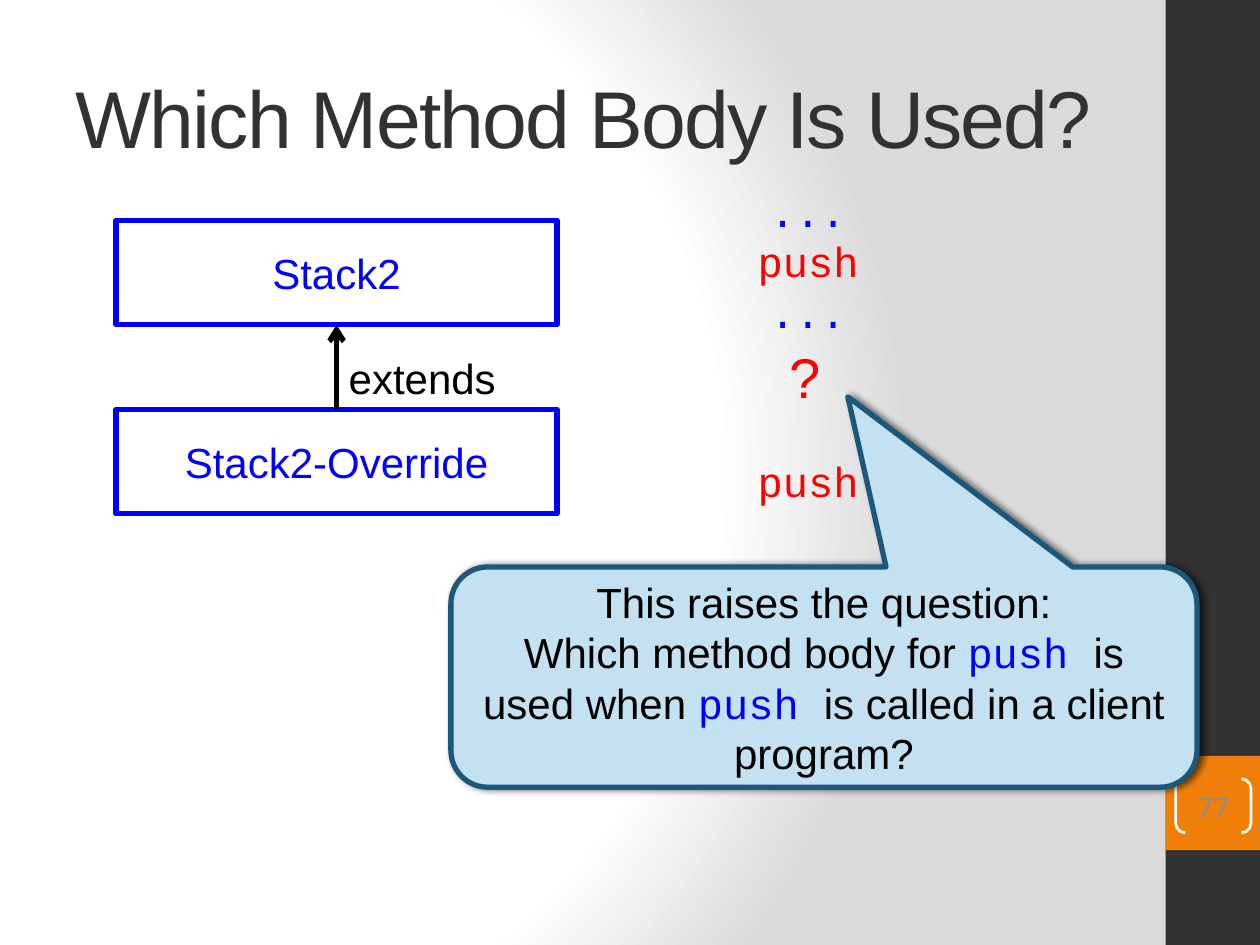
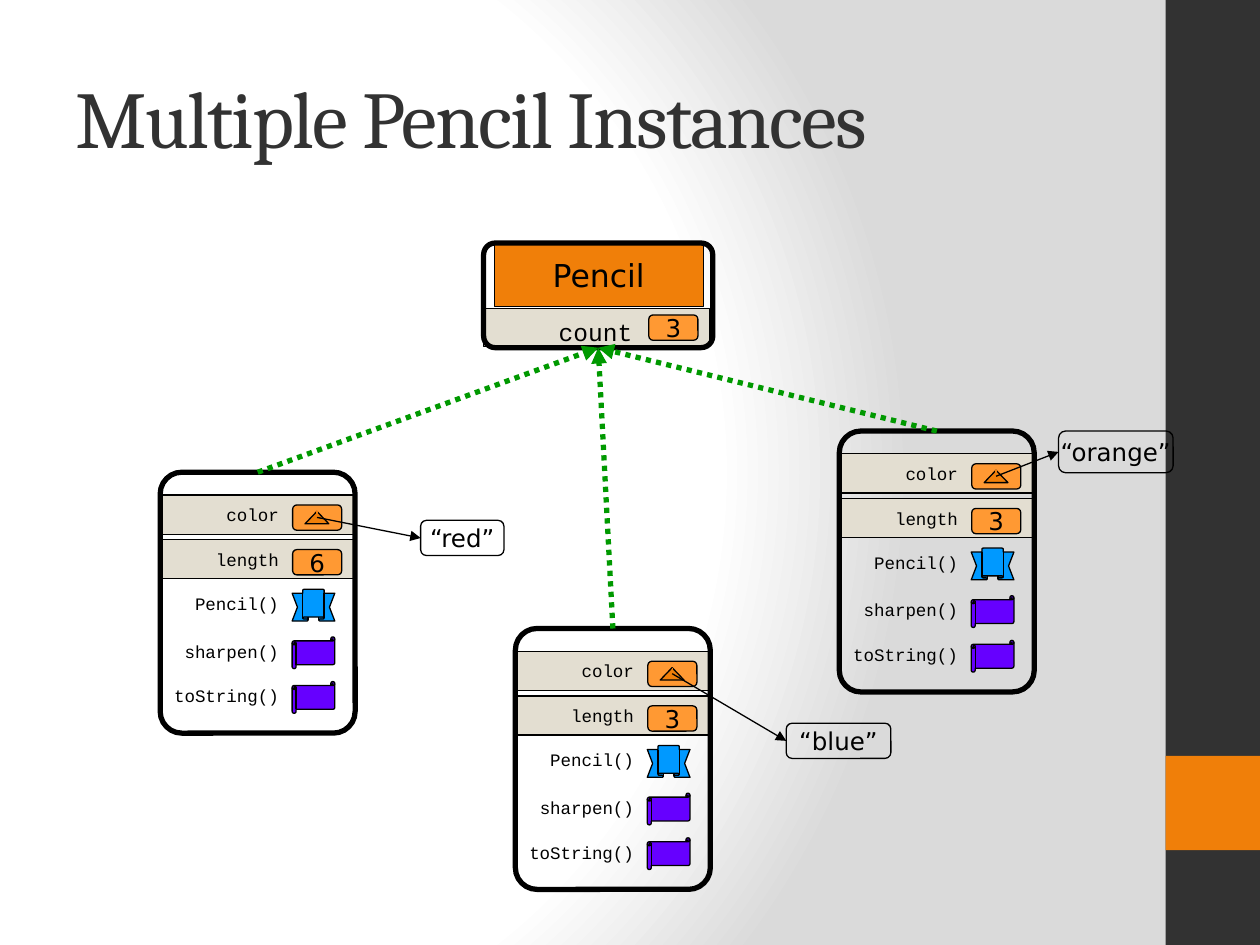
"""Builds two slides on method overriding and pencil objects."""
import dataclasses

import pptx
import pptx.dml.color
import pptx.enum.dml
import pptx.enum.shapes
import pptx.enum.text
import pptx.oxml
import pptx.oxml.ns
import pptx.util

Cm = pptx.util.Cm
Pt = pptx.util.Pt
Form = pptx.enum.shapes.MSO_SHAPE
Align = pptx.enum.text.PP_ALIGN
Anchor = pptx.enum.text.MSO_ANCHOR
Fit = pptx.enum.text.MSO_AUTO_SIZE
qn = pptx.oxml.ns.qn
NS = pptx.oxml.ns.nsdecls("a")


@dataclasses.dataclass(frozen=True)
class Theme:
    dark: str = "323232"
    orange: str = "F07F09"
    white: str = "FFFFFF"
    shade: str = "DADADA"
    black: str = "000000"
    grey: str = "8C8C8C"
    blue: str = "0000FF"
    red: str = "FF0000"
    pale: str = "C4E1F2"
    navy: str = "1B587C"
    green: str = "009900"
    sand: str = "E3DED1"
    cell: str = "FF9933"
    sky: str = "0099FF"
    violet: str = "6600FF"
    sans: str = "Arial"
    serif: str = "Cambria"
    code: str = "Courier New"
    label: str = "DejaVu Sans"
    digit: str = "Calibri"
    head: int = 46
    ask: int = 32
    main: int = 24
    name: int = 18
    note: int = 14
    small: int = 10
    thin: float = 0.75
    thick: float = 3


def rgb(code):
    return pptx.dml.color.RGBColor.from_string(code)


def style(font, face, size, color):
    font.name, font.size = face, Pt(size)
    font.color.rgb = rgb(color)


class Deck:
    def __init__(self, theme):
        self.theme = theme
        self.show = pptx.Presentation()
        self.show.slide_width, self.show.slide_height = Cm(25.4), Cm(19.05)
        self.slide = None
        self.paint()

    def paint(self):
        t = self.theme
        master = self.show.slide_master
        master.background.fill.gradient()
        old = master.element.find(".//" + qn("a:gradFill"))
        stops = "".join(
            f'<a:gs pos="{pos}"><a:srgbClr val="{color}"/></a:gs>'
            for pos, color in ((0, t.white), (75000, t.white), (100000, t.shade)))
        old.getparent().replace(old, pptx.oxml.parse_xml(
            f'<a:gradFill {NS} rotWithShape="1"><a:gsLst>{stops}</a:gsLst>'
            '<a:path path="circle"><a:fillToRect l="20000" t="50000" '
            'r="100000" b="50000"/></a:path></a:gradFill>'))

    def start(self, text, face):
        t = self.theme
        self.slide = self.show.slides.add_slide(self.show.slide_layouts[5])
        self.shape(Form.RECTANGLE, (23.5, 0, 1.9, 19.05), t.dark)
        self.shape(Form.RECTANGLE, (23.5, 15.24, 1.9, 1.9), t.orange)
        title = self.slide.shapes.title
        title.left, title.top, title.width, title.height = map(
            Cm, (1.27, 0.76, 21.16, 3.18))
        frame = title.text_frame
        frame.text = text
        frame.auto_size, frame.vertical_anchor = Fit.NONE, Anchor.MIDDLE
        para = frame.paragraphs[0]
        para.alignment = Align.LEFT
        style(para.font, face, t.head, t.dark)
        para._p.find(".//" + qn("a:defRPr")).set("spc", "-100")

    def shape(self, form, at, fill=None, line=None, width=Theme.thin, adjust=()):
        item = self.slide.shapes.add_shape(form, *map(Cm, at))
        item.shadow.inherit = False
        for i, value in enumerate(adjust):
            item.adjustments[i] = value
        if fill:
            item.fill.solid()
            item.fill.fore_color.rgb = rgb(fill)
        else:
            item.fill.background()
        if line:
            item.line.color.rgb = rgb(line)
            item.line.width = Pt(width)
        else:
            item.line.fill.background()
        return item

    def label(self, item, text, face, size, color=Theme.black, wrap=False):
        frame = item.text_frame
        frame.text = text
        frame.word_wrap, frame.vertical_anchor = wrap, Anchor.MIDDLE
        para = frame.paragraphs[0]
        para.alignment = Align.CENTER
        style(para.font, face, size, color)
        return item

    def text(self, at, lines, face, size, align=Align.LEFT, wrap=False):
        frame = self.slide.shapes.add_textbox(*map(Cm, at)).text_frame
        frame.word_wrap, frame.auto_size = wrap, Fit.SHAPE_TO_FIT_TEXT
        frame.text = "\n".join(line for line, color in lines)
        for para, (line, color) in zip(frame.paragraphs, lines):
            para.alignment = align
            style(para.font, face, size, color)

    def link(self, begin, end, color, width=Theme.thin, head=None, dash=None):
        line = self.slide.shapes.add_connector(
            pptx.enum.shapes.MSO_CONNECTOR.STRAIGHT, 0, 0, 0, 0)
        if isinstance(begin[0], (int, float)):
            line.begin_x, line.begin_y = map(Cm, begin)
        else:
            line.begin_connect(*begin)
        if isinstance(end[0], (int, float)):
            line.end_x, line.end_y = map(Cm, end)
        else:
            line.end_connect(*end)
        line.line.color.rgb = rgb(color)
        line.line.width = Pt(width)
        if dash:
            line.line.dash_style = dash
        props = line._element.spPr
        if head:
            props.find(qn("a:ln")).append(
                pptx.oxml.parse_xml(f'<a:tailEnd {NS} type="{head}"/>'))
        props.append(pptx.oxml.parse_xml(f"<a:effectLst {NS}/>"))

    def cell(self, x, y, value=None):
        t = self.theme
        item = self.shape(Form.ROUNDED_RECTANGLE, (x, y, 0.99, 0.51), t.cell, t.black)
        if value:
            self.label(item, value, t.label, t.note)

    def member(self, right, y, name):
        t = self.theme
        wide = 0.51 + 0.21 * len(name)
        self.text((right - wide, y, wide, 0.69), [(name, t.black)],
                  t.code, t.small, Align.RIGHT)

    def pencil(self, x, y, length, color, spot):
        t = self.theme
        tag = self.shape(Form.ROUNDED_RECTANGLE, spot, line=t.black)
        self.label(tag, color, t.label, t.note)
        for i, (name, value) in enumerate((("color", None), ("length", length))):
            top = y + 0.46 + 0.9 * i
            self.shape(Form.RECTANGLE, (x, top, 3.93, 0.79), t.sand, t.black)
            self.member(x + 2.64, top + 0.06, name)
            self.cell(x + 2.67, top + 0.2, value)
        ribbon = (Form.UP_RIBBON, t.sky, (0.125, 0.5))
        scroll = (Form.HORIZONTAL_SCROLL, t.violet, (0.125,))
        for name, drop, (form, fill, adjust) in (
                ("Pencil()", 2.31, ribbon),
                ("sharpen()", 3.27, scroll),
                ("toString()", 4.17, scroll)):
            self.member(x + 2.64, y + drop, name)
            self.shape(form, (x + 2.66, y + drop + 0.05, 0.86, 0.64),
                       fill, t.black, adjust=adjust)
        self.shape(Form.ISOSCELES_TRIANGLE, (x + 2.92, y + 0.79, 0.48, 0.25),
                   t.orange, t.black)
        mid = (x + 3.16, y + 0.91)
        self.link((x + 3.16, y + 0.79), mid, t.orange)
        self.link(mid, (tag, 1), t.black, head="triangle")
        return self.shape(Form.ROUNDED_RECTANGLE, (x, y, 3.93, 5.26),
                          line=t.black, width=t.thick, adjust=(0.111,))


def method(deck):
    t = deck.theme
    deck.start("Which Method Body Is Used?", t.sans)
    page = deck.shape(Form.DOUBLE_BRACKET, (23.7, 15.7, 1.52, 1.09),
                      line=t.white, width=1.5, adjust=(0.179,))
    deck.label(page, "77", t.digit, t.name, t.grey)
    frame = page.text_frame
    frame.margin_left = frame.margin_right = frame.margin_top = frame.margin_bottom = 0
    base, child = [
        deck.label(deck.shape(Form.RECTANGLE, (2.34, top, 8.89, 2.11),
                              t.white, t.blue, t.thick),
                   name, t.sans, t.main, t.blue)
        for name, top in (("Stack2", 4.44), ("Stack2-Override", 8.25))]
    deck.link((child, 0), (base, 2), t.black, t.thick, "arrow")
    deck.text((6.78, 6.98, 3.51, 1.27), [("extends", t.black)], t.sans, t.main)
    push, dots = ("push", t.red), ("...", t.blue)
    for top, tall, lines in ((9.05, 1.27, [push]), (3.61, 3.33, [dots, push, dots])):
        deck.text((12.06, top, 8.46, tall), lines, t.code, t.main, Align.CENTER, True)
    query(deck)
    deck.text((15.67, 6.78, 1.17, 1.63), [("?", t.red)], t.sans, t.ask)


def query(deck):
    t = deck.theme
    item = deck.shape(Form.ROUNDED_RECTANGULAR_CALLOUT, (9.09, 11.43, 15.04, 4.44),
                      t.pale, t.navy, t.thick, (0.032, -1.273, 0.167))
    item._element.spPr.find(qn("a:effectLst")).append(pptx.oxml.parse_xml(
        f'<a:outerShdw {NS} blurRad="50800" dist="25400" dir="0" rotWithShape="0">'
        f'<a:srgbClr val="{t.black}"><a:alpha val="60000"/></a:srgbClr></a:outerShdw>'))
    deck.label(item, "This raises the question:", t.sans, t.main, wrap=True)
    para = item.text_frame.add_paragraph()
    para.alignment = Align.CENTER
    plain, code = (t.sans, t.main, t.black), (t.code, t.main, t.blue)
    for words, look in (("Which method body for ", plain), ("push ", code),
                        ("is used when ", plain), ("push ", code),
                        ("is called in a client program?", plain)):
        run = para.add_run()
        run.text = words
        style(run.font, *look)


def pencils(deck):
    t = deck.theme
    deck.start("Multiple Pencil Instances", t.serif)
    items = [deck.pencil(*data) for data in (
        (3.23, 9.52, "6", "“red”", (8.48, 10.49, 1.68, 0.71)),
        (10.39, 12.67, "3", "“blue”", (15.85, 14.58, 2.11, 0.71)),
        (16.92, 8.69, "3", "“orange”", (21.34, 8.69, 2.31, 0.84)))]
    deck.shape(Form.RECTANGLE, (9.75, 6.22, 4.55, 0.76), t.sand, t.black)
    deck.text((11, 6.27, 2, 0.86), [("count", t.black)], t.code, t.note, Align.RIGHT)
    deck.cell(13.08, 6.35, "3")
    head = deck.shape(Form.RECTANGLE, (9.96, 4.9, 4.22, 1.27), t.orange, t.black, 0.5)
    deck.label(head, "Pencil", t.label, t.name)
    kind = deck.shape(Form.ROUNDED_RECTANGLE, (9.75, 4.9, 4.62, 2.11),
                      line=t.black, width=t.thick, adjust=(0.111,))
    for item in items:
        deck.link((item, 0), (kind, 2), t.green, t.thick, "triangle",
                  pptx.enum.dml.MSO_LINE.ROUND_DOT)


def main():
    deck = Deck(Theme())
    method(deck)
    pencils(deck)
    deck.show.save("out.pptx")


if __name__ == "__main__":
    main()
